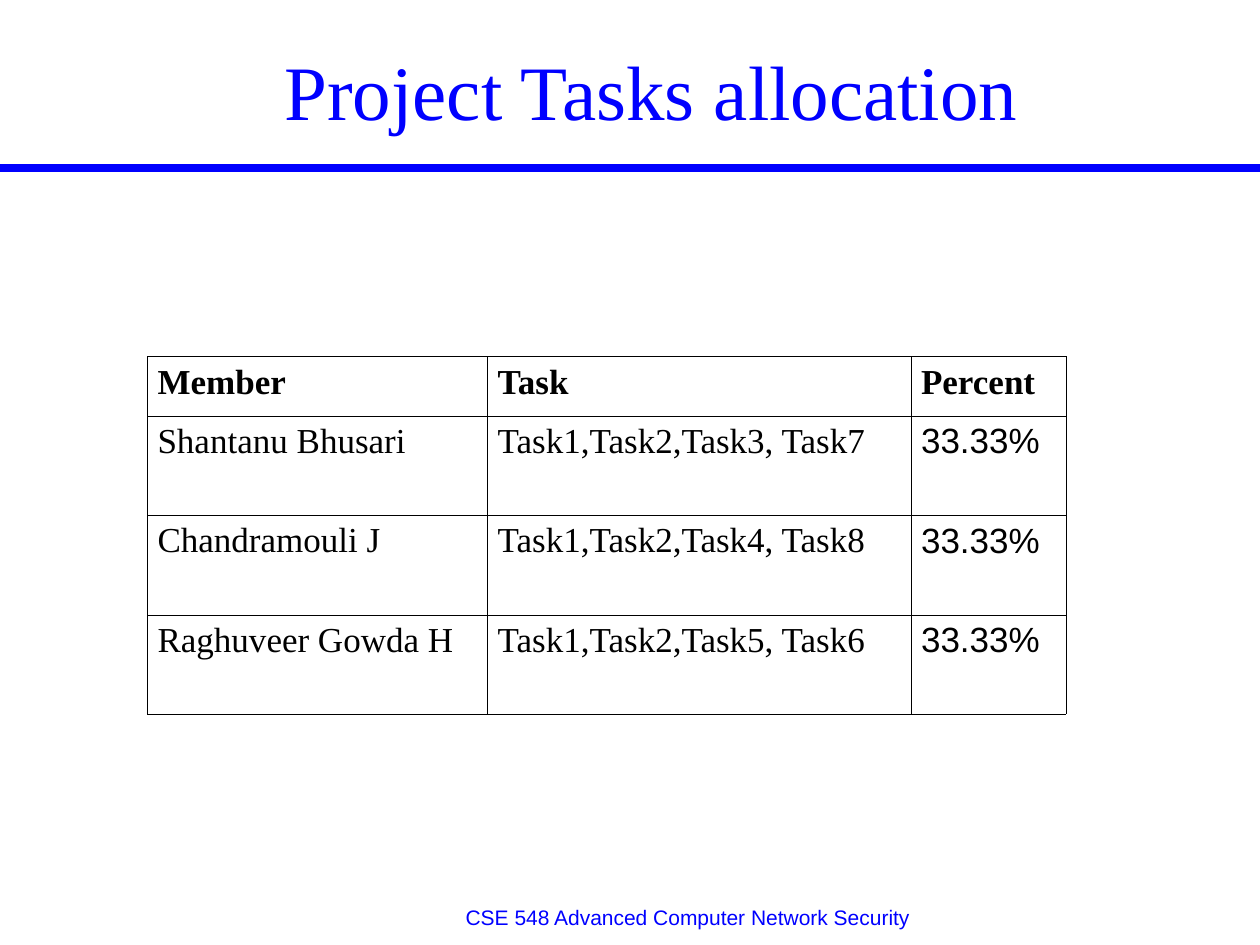
from lxml import etree
from pptx import Presentation
from pptx.dml.color import RGBColor
from pptx.enum.shapes import MSO_CONNECTOR
from pptx.enum.text import MSO_ANCHOR, PP_ALIGN
from pptx.oxml import parse_xml
from pptx.oxml.ns import nsdecls, qn
from pptx.util import Inches, Pt

STRAIGHT = MSO_CONNECTOR.STRAIGHT
MIDDLE = MSO_ANCHOR.MIDDLE
CENTER, JUSTIFY = PP_ALIGN.CENTER, PP_ALIGN.JUSTIFY
SERIF, SANS = "Times New Roman", "Arial"
BLUE, BLACK = "0000FF", "000000"


def color(hex_string):
    return RGBColor.from_string(hex_string)


def write(frame, text, size, font, hex_string, align, bold=False):
    paragraph = frame.paragraphs[0]
    paragraph.alignment = align
    run = paragraph.add_run()
    run.text = text
    run.font.size = Pt(size)
    run.font.name = font
    run.font.bold = bold
    run.font.color.rgb = color(hex_string)
    return paragraph


prs = Presentation()
prs.slide_width, prs.slide_height = Inches(10), Inches(7.5)
slide = prs.slides.add_slide(prs.slide_layouts[6])

# Rule under the title
rule = slide.shapes.add_connector(STRAIGHT, Inches(0), Inches(1.33), Inches(10), Inches(1.33))
rule.line.color.rgb = color(BLUE)
rule.line.width = Pt(4.5)
etree.SubElement(rule._element.spPr, qn("a:effectLst"))

# Course footer
footer = slide.shapes.add_textbox(Inches(1.92), Inches(7.17), Inches(7.08), Inches(0.26)).text_frame
footer.word_wrap = True
course = write(footer, "CSE 548 Advanced Computer Network Security", 12, SANS, BLUE, CENTER)
course.line_spacing = 0.8
course.space_after = Pt(1.5)

# Title
title = slide.shapes.add_textbox(Inches(0.67), Inches(0.17), Inches(9), Inches(1.08)).text_frame
title.word_wrap = True
title.vertical_anchor = MIDDLE
write(title, "Project Tasks allocation", 44, SERIF, BLUE, CENTER)

# Allocation table
allocation = [
    ("Member", "Task", "Percent"),
    ("Shantanu Bhusari", "Task1,Task2,Task3, Task7", "33.33%"),
    ("Chandramouli J", "Task1,Task2,Task4, Task8", "33.33%"),
    ("Raghuveer Gowda H", "Task1,Task2,Task5, Task6", "33.33%"),
]
column_widths = [2.7, 3.36, 1.23]
row_heights = [0.47, 0.79, 0.79, 0.79]
table = slide.shapes.add_table(
    len(row_heights), len(column_widths), Inches(1.17), Inches(2.83),
    Inches(sum(column_widths)), Inches(sum(row_heights))).table
table.first_row = table.horz_banding = False
for column, width in zip(table.columns, column_widths):
    column.width = Inches(width)

for r, (row, height) in enumerate(zip(table.rows, row_heights)):
    row.height = Inches(height)
    for c, cell in enumerate(row.cells):
        cell.margin_left = cell.margin_right = Inches(0.08)
        cell.margin_top = cell.margin_bottom = Inches(0.05)
        font = SANS if r > 0 and c == 2 else SERIF
        entry = write(cell.text_frame, allocation[r][c], 20, font, BLACK, JUSTIFY, bold=r == 0)
        entry.space_after = Pt(6)
        # Thin borders come before the fill in the cell properties
        for side in ("lnL", "lnR", "lnT", "lnB"):
            cell._tc.get_or_add_tcPr().append(parse_xml(
                f'<a:{side} {nsdecls("a")} w="{Pt(0.23)}"><a:solidFill>'
                f'<a:srgbClr val="{BLACK}"/></a:solidFill></a:{side}>'))
        cell.fill.background()

prs.save("out.pptx")
